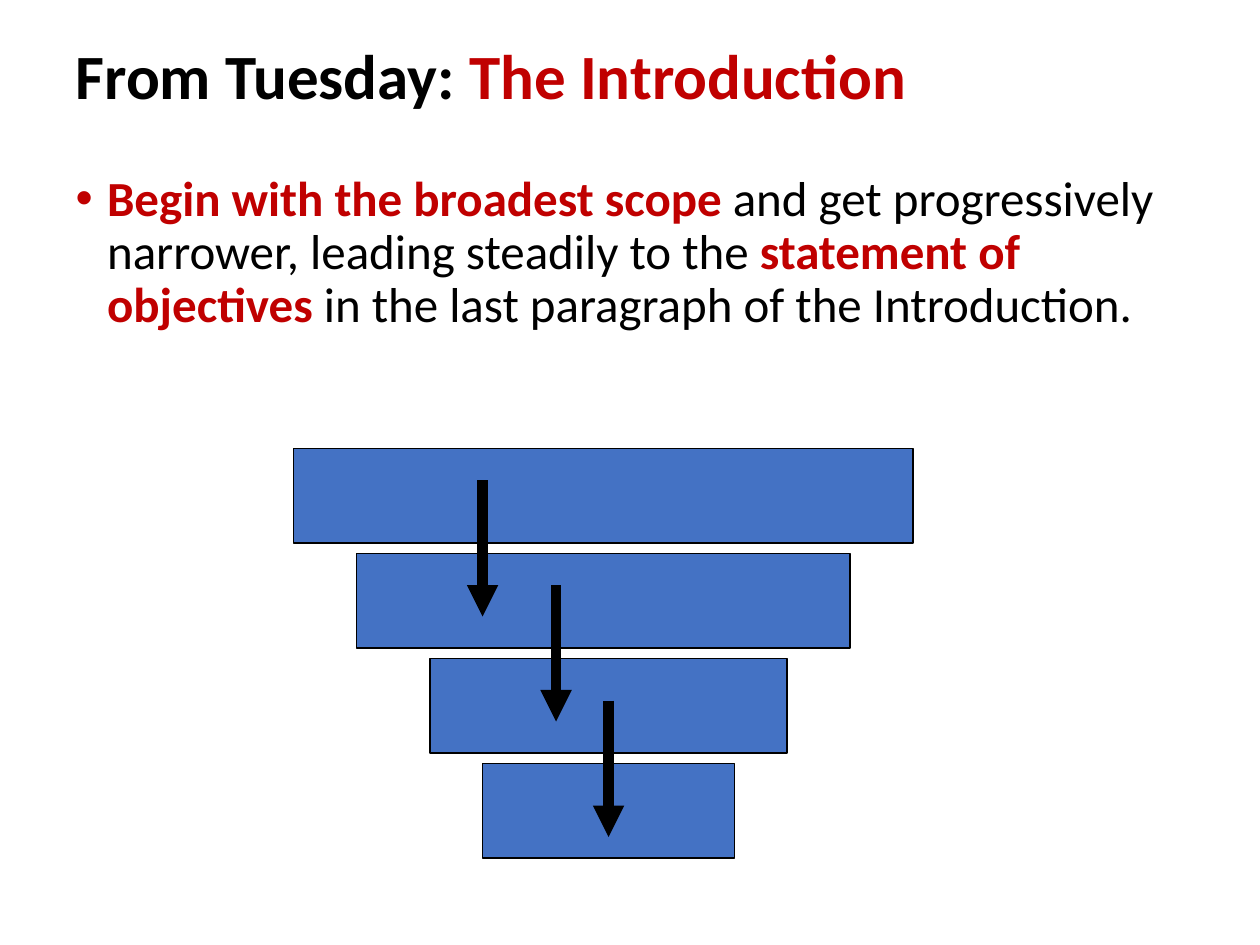
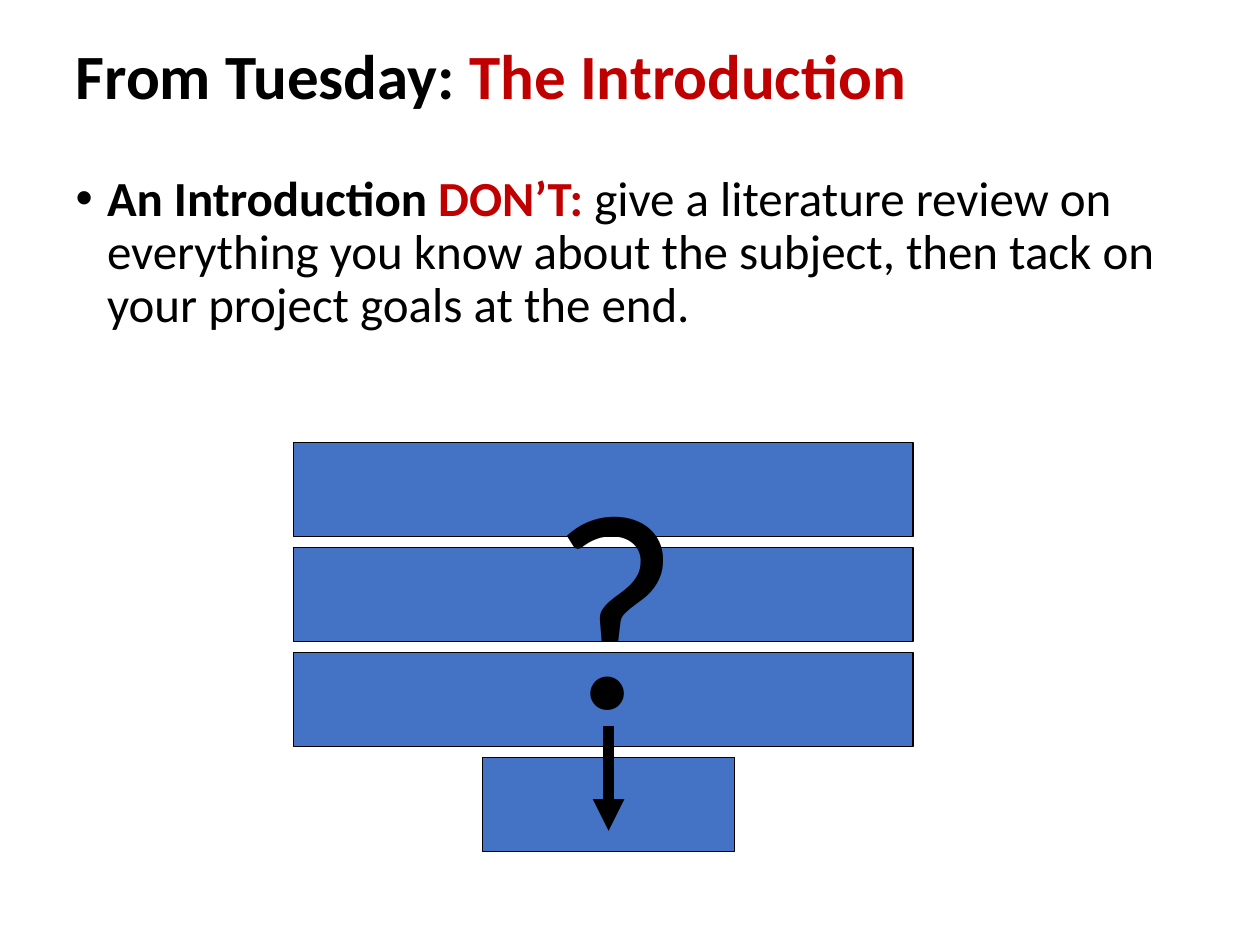
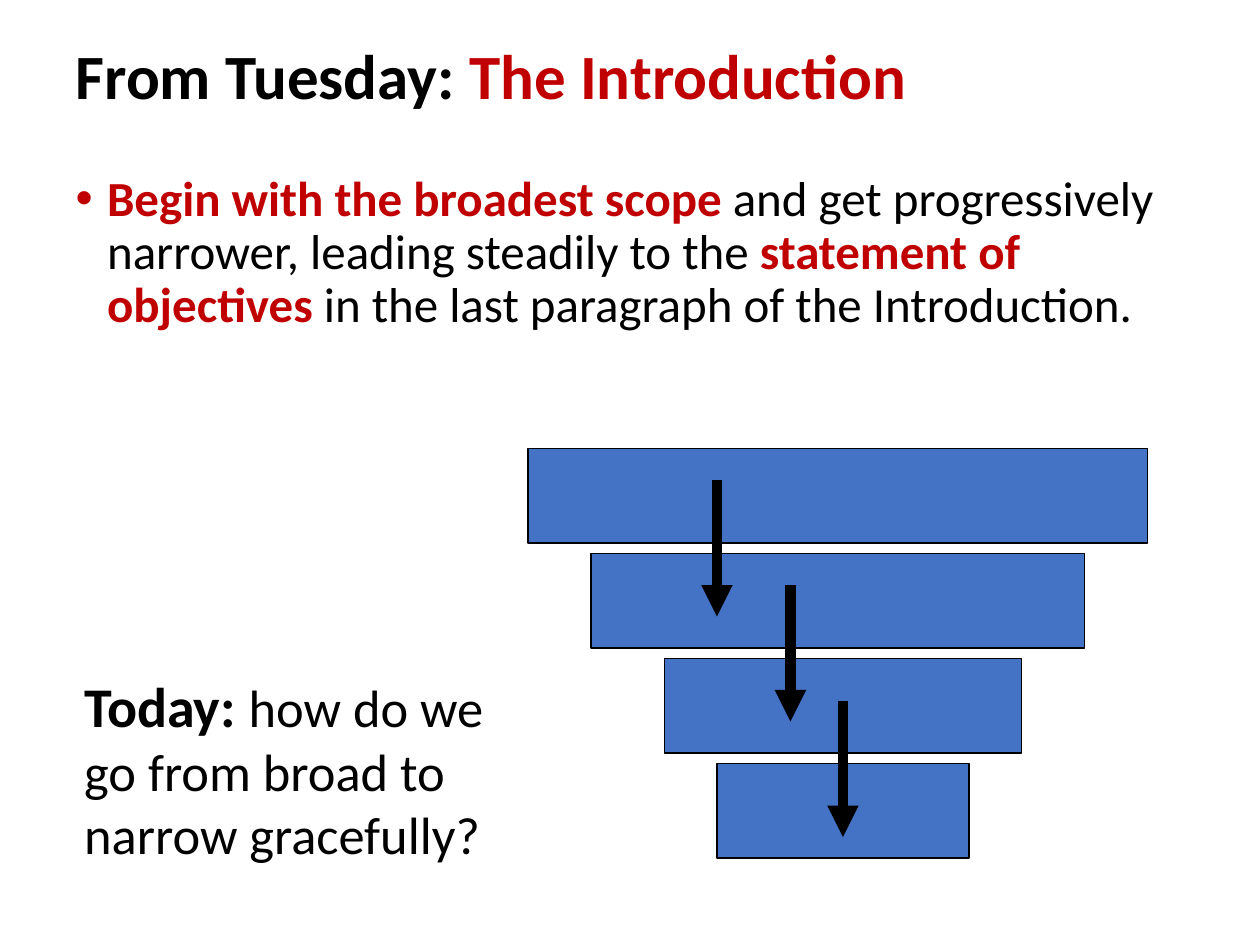
from lxml import etree
from pptx import Presentation, util as u
from pptx.dml.color import RGBColor
from pptx.enum import shapes, text
from pptx.oxml.ns import qn

COLORS = {"ink": "000000", "accent": "C00000", "bar": "4472C4"}
FONT = "Calibri"
WIDTH, HEIGHT = u.Inches(10), u.Inches(7.5)
UNIT = u.Inches(1) / 12
BAR_HEIGHT, BAR_PITCH = 9, 10
FULL, TIP = (0, 59), (18, 24)
FUNNEL = [FULL, (6, 47), (13, 34), TIP]
BLOCKS = [FULL] * 3 + [TIP]
STEPS = [(18, 3, 16), (25, 13, 26), (30, 24, 37)]
JUMP = [(30, 27, 37)]

TITLE = [("From Tuesday: ", "ink", True), ("The Introduction", "accent", True)]
ADVICE = [
    ("Begin with the broadest scope ", "accent", True),
    ("and get progressively narrower, leading steadily to the ", "ink", False),
    ("statement of objectives", "accent", True),
    (" in the last paragraph of the Introduction.", "ink", False),
]
WARNING = [
    ("An Introduction ", "ink", True),
    ("DON’T: ", "accent", True),
    ("give a literature review on everything you know about the subject, "
     "then tack on your project goals at the end.", "ink", False),
]


def color(name):
    return RGBColor.from_string(COLORS[name])


def apply(target, values):
    for key, value in values.items():
        setattr(target, key, value)


def place(holder, left, top, width, height):
    apply(holder, {"left": u.Inches(left), "top": u.Inches(top),
                   "width": u.Inches(width), "height": u.Inches(height)})


def write(paragraph, phrases, size):
    for words, tint, bold, *own_size in phrases:
        run = paragraph.add_run()
        run.text = words
        apply(run.font, {"name": FONT, "bold": bold,
                         "size": u.Pt(own_size[0] if own_size else size)})
        run.font.color.rgb = color(tint)


def add_bullet(paragraph):
    props = paragraph._p.get_or_add_pPr()
    props.set("marL", str(u.Inches(0.25)))
    props.set("indent", str(-u.Inches(0.25)))
    etree.SubElement(props, qn("a:buFont")).set("typeface", "Arial")
    etree.SubElement(props, qn("a:buChar")).set("char", "•")


def add_lesson(deck, message):
    slide = deck.slides.add_slide(deck.slide_layouts[1])
    heading, body = slide.shapes.title, slide.placeholders[1]
    place(heading, 0.5, 0, 9, 1.25)
    place(body, 0.5, 1.33, 9, 4.95)
    heading.text_frame.vertical_anchor = text.MSO_ANCHOR.MIDDLE
    add_bullet(body.text_frame.paragraphs[0])
    for holder, phrases, size in ((heading, TITLE, 36), (body, message, 28)):
        holder.text_frame.auto_size = text.MSO_AUTO_SIZE.NONE
        paragraph = holder.text_frame.paragraphs[0]
        apply(paragraph, {"alignment": text.PP_ALIGN.LEFT, "line_spacing": 0.9,
                          "space_before": u.Pt(0)})
        write(paragraph, phrases, size)
    return slide


def add_bar(slide, left, top, width):
    bar = slide.shapes.add_shape(
        shapes.MSO_SHAPE.RECTANGLE, left, top, round(width * UNIT), round(BAR_HEIGHT * UNIT))
    bar.shadow.inherit = False
    bar.fill.solid()
    bar.fill.fore_color.rgb = color("bar")
    bar.line.color.rgb = color("ink")
    bar.line.width = u.Pt(0.75)


def add_arrow(slide, x, start, end):
    arrow = slide.shapes.add_connector(shapes.MSO_CONNECTOR.STRAIGHT, x, start, x, end)
    arrow.line.color.rgb = color("ink")
    arrow.line.width = u.Pt(6)
    etree.SubElement(arrow.line._get_or_add_ln(), qn("a:tailEnd")).set("type", "triangle")
    etree.SubElement(arrow._element.spPr, qn("a:effectLst"))


def add_scope(slide, left, top, bars, arrows):
    def across(columns):
        return round(u.Inches(left) + columns * UNIT)

    def down(rows):
        return round(u.Inches(top) + rows * UNIT)

    for level, (inset, width) in enumerate(bars):
        add_bar(slide, across(inset), down(level * BAR_PITCH), width)
    for column, start, end in arrows:
        add_arrow(slide, across(column), down(start), down(end))


def add_remark(slide, box, phrases, size):
    remark = slide.shapes.add_textbox(0, 0, 0, 0)
    place(remark, *box)
    apply(remark.text_frame, {"word_wrap": True,
                              "auto_size": text.MSO_AUTO_SIZE.SHAPE_TO_FIT_TEXT})
    write(remark.text_frame.paragraphs[0], phrases, size)


def main():
    deck = Presentation()
    apply(deck, {"slide_width": WIDTH, "slide_height": HEIGHT})

    narrowing = add_lesson(deck, ADVICE)
    add_scope(narrowing, 2.33, 3.56, FUNNEL, STEPS)

    review = add_lesson(deck, WARNING)
    add_scope(review, 2.33, 3.51, BLOCKS, JUMP)
    add_remark(review, (4.27, 3.35, 2.22, 2.79), [("?", "ink", False)], 160)

    today = add_lesson(deck, ADVICE)
    add_scope(today, 4.19, 3.56, FUNNEL, STEPS)
    add_remark(today, (0.57, 5.28, 3.77, 1.65),
               [("Today: ", "ink", True, 32),
                ("how do we go from broad to narrow gracefully?", "ink", False)], 30)

    deck.save("out.pptx")


if __name__ == "__main__":
    main()
